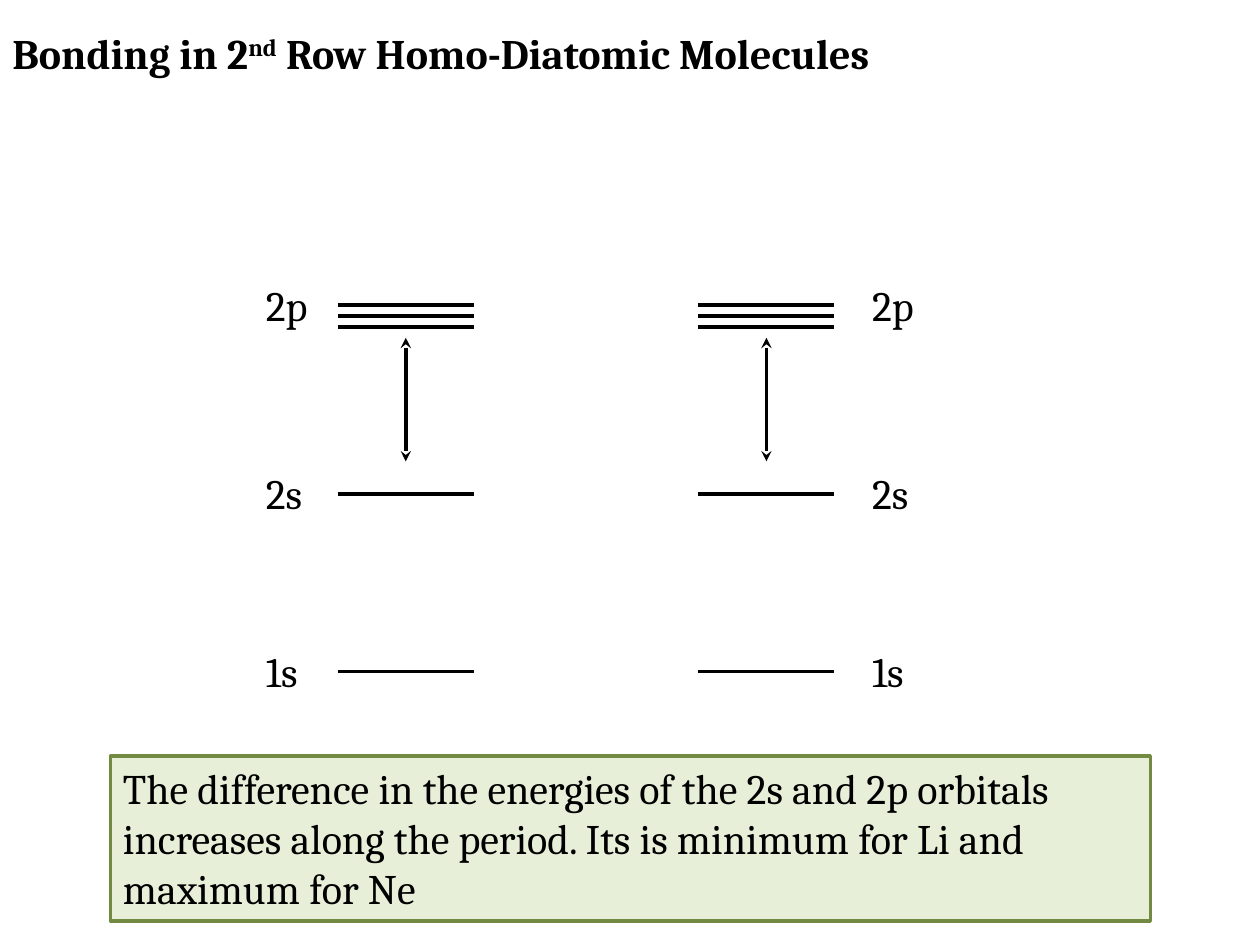
import pptx
import pptx.dml.color
import pptx.enum.shapes
import pptx.enum.text
import pptx.oxml.ns
import pptx.util
from lxml import etree

Cm = pptx.util.Cm
Pt = pptx.util.Pt
RGB = pptx.dml.color.RGBColor

HEADING = [("Bonding in 2", None), ("nd", "30000"), (" Row Homo-Diatomic Molecules", None)]
CONCLUSION = [("The difference in the energies of the 2s and 2p orbitals increases along "
               "the period. Its is minimum for Li and maximum for Ne", None)]
ORBITALS = [
    {"label": "1s", "energy": 13.54, "count": 1, "label_top": 12.88, "label_width": 1.24},
    {"label": "2s", "energy": 9.96, "count": 1, "label_top": 9.3, "label_width": 1.37},
    {"label": "2p", "energy": 6.37, "count": 3, "label_top": 5.51, "label_width": 1.47},
]
ATOMS = [{"level_left": 6.81, "label_left": 5.11}, {"level_left": 14.08, "label_left": 17.33}]
LEVEL_WIDTH = 2.74
DEGENERATE_GAP = 0.22
GAP_TOP, GAP_BOTTOM = 6.81, 9.3

THEME = {
    "ink": RGB(0, 0, 0),
    "note_fill": RGB(0xE8, 0xEF, 0xD9),
    "note_line": RGB(0x73, 0x8A, 0x42),
    "line_width": Pt(2),
    "font": {"name": "Cambria", "size": Pt(24), "bold": False},
}


def apply_format(target, values):
    for attribute, value in values.items():
        setattr(target, attribute, value)


def write(holder, pieces, frame_format, **font_changes):
    frame = holder.text_frame
    apply_format(frame, {"auto_size": pptx.enum.text.MSO_AUTO_SIZE.SHAPE_TO_FIT_TEXT,
                         **frame_format})
    paragraph = frame.paragraphs[0]
    paragraph.alignment = pptx.enum.text.PP_ALIGN.LEFT
    for words, baseline in pieces:
        run = paragraph.add_run()
        run.text = words
        apply_format(run.font, {**THEME["font"], **font_changes})
        run.font.color.rgb = THEME["ink"]
        if baseline:
            run._r.get_or_add_rPr().set("baseline", baseline)


def draw_line(slide, x1, y1, x2, y2, arrows=False):
    stroke = slide.shapes.add_connector(
        pptx.enum.shapes.MSO_CONNECTOR.STRAIGHT, Cm(x1), Cm(y1), Cm(x2), Cm(y2))
    stroke.line.width = THEME["line_width"]
    stroke.line.color.rgb = THEME["ink"]
    if arrows:
        outline = stroke.line._get_or_add_ln()
        for end in ("a:headEnd", "a:tailEnd"):
            etree.SubElement(outline, pptx.oxml.ns.qn(end), type="stealth")
    etree.SubElement(stroke._element.spPr, pptx.oxml.ns.qn("a:effectLst"))


def draw_atom(slide, atom):
    left = atom["level_left"]
    for orbital in ORBITALS:
        for index in range(orbital["count"]):
            y = orbital["energy"] + (index - (orbital["count"] - 1) / 2) * DEGENERATE_GAP
            draw_line(slide, left, y, left + LEVEL_WIDTH, y)
        label = slide.shapes.add_textbox(
            Cm(atom["label_left"]), Cm(orbital["label_top"]),
            Cm(orbital["label_width"]), Cm(1.28))
        write(label, [(orbital["label"], None)], {"word_wrap": False})
    middle = left + LEVEL_WIDTH / 2
    draw_line(slide, middle, GAP_TOP, middle, GAP_BOTTOM, arrows=True)


def main():
    deck = pptx.Presentation()
    apply_format(deck, {"slide_width": Cm(25.4), "slide_height": Cm(19.05)})
    slide = deck.slides.add_slide(deck.slide_layouts[6])

    heading = slide.shapes.add_textbox(Cm(0), Cm(0.43), Cm(21.74), Cm(1.28))
    write(heading, HEADING, {"word_wrap": True}, bold=True)

    for atom in ATOMS:
        draw_atom(slide, atom)

    conclusion = slide.shapes.add_shape(
        pptx.enum.shapes.MSO_SHAPE.RECTANGLE, Cm(2.23), Cm(15.24), Cm(20.96), Cm(3.33))
    conclusion.shadow.inherit = False
    conclusion.fill.solid()
    conclusion.fill.fore_color.rgb = THEME["note_fill"]
    conclusion.line.color.rgb = THEME["note_line"]
    conclusion.line.width = THEME["line_width"]
    write(conclusion, CONCLUSION,
          {"word_wrap": True, "vertical_anchor": pptx.enum.text.MSO_ANCHOR.TOP})

    deck.save("out.pptx")


if __name__ == "__main__":
    main()
